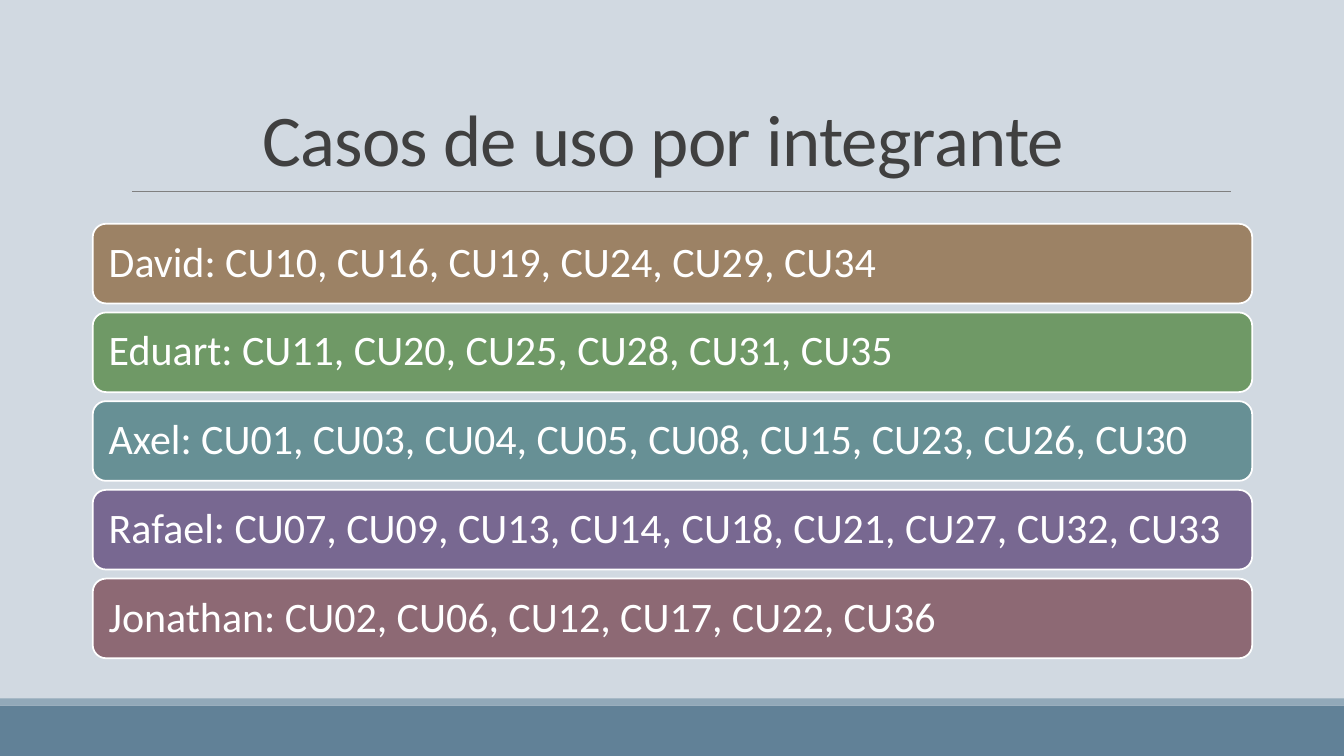
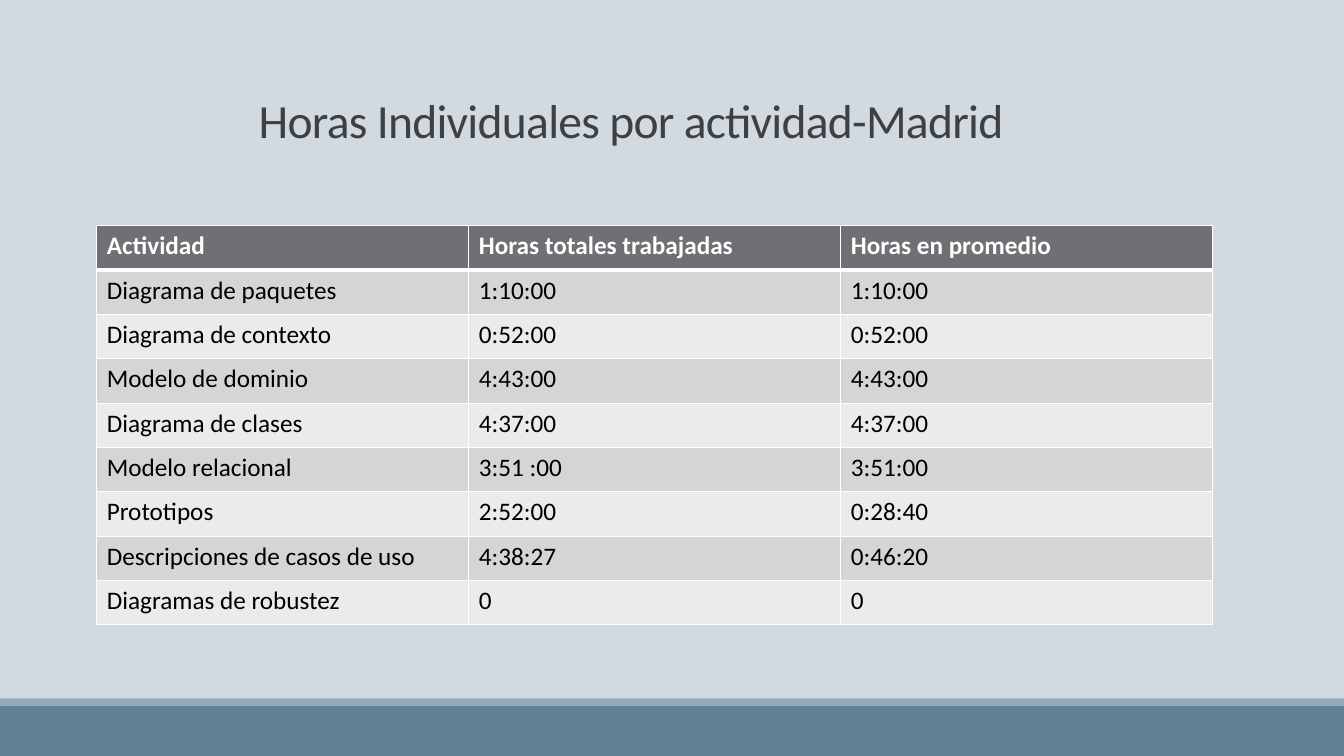
from lxml import etree
from pptx import Presentation
from pptx.dml.color import RGBColor
from pptx.enum import shapes, text
from pptx.oxml.ns import qn
from pptx.util import Inches, Pt

# Content
TITLES = ["Casos de uso por integrante", "Horas Individuales por actividad-Madrid"]
MEMBERS = [
    ("David: CU10, CU16, CU19, CU24, CU29, CU34", "brown"),
    ("Eduart: CU11, CU20, CU25, CU28, CU31, CU35", "green"),
    ("Axel: CU01, CU03, CU04, CU05, CU08, CU15, CU23, CU26, CU30", "teal"),
    ("Rafael: CU07, CU09, CU13, CU14, CU18, CU21, CU27, CU32, CU33", "purple"),
    ("Jonathan: CU02, CU06, CU12, CU17, CU22, CU36", "rose"),
]
HOURS = [
    ("Actividad", "Horas totales trabajadas", "Horas en promedio"),
    ("Diagrama de paquetes", "1:10:00", "1:10:00"),
    ("Diagrama de contexto", "0:52:00", "0:52:00"),
    ("Modelo de dominio", "4:43:00", "4:43:00"),
    ("Diagrama de clases", "4:37:00", "4:37:00"),
    ("Modelo relacional", "3:51 :00", "3:51:00"),
    ("Prototipos", "2:52:00", "0:28:40"),
    ("Descripciones de casos de uso", "4:38:27", "0:46:20"),
    ("Diagramas de robustez", "0", "0"),
]

# Shared style
COLORS = {
    "back": "D1D9E1", "band": "618197", "stripe": "92A9B9", "rule": "808080",
    "title": "404040", "white": "FFFFFF", "black": "000000",
    "brown": "9C8265", "green": "6F9966", "teal": "679095",
    "purple": "786891", "rose": "8D6974",
    "header": "6F6F74", "odd": "D5D5D6", "even": "EBEBEB",
}
FONT = "Calibri"
W, H = 13.33, 7.5
BAND_TOP, STRIPE_H = 7, 0.07


def rgb(name):
    return RGBColor.from_string(COLORS[name])


def style(p, size, color, bold=False):
    f = p.font
    f.name, f.size, f.bold = FONT, Pt(size), bold
    f.color.rgb = rgb(color)


def add_box(s, kind, box, fill, line=None):
    sp = s.shapes.add_shape(kind, *map(Inches, box))
    sp.shadow.inherit = False
    sp.fill.solid()
    sp.fill.fore_color.rgb = rgb(fill)
    if line:
        sp.line.color.rgb = rgb(line)
        sp.line.width = Pt(1.25)
    else:
        sp.line.fill.background()
    return sp


def add_title(s, words, box, size, anchor):
    tf = s.shapes.add_textbox(*map(Inches, box)).text_frame
    tf.word_wrap = True
    tf.vertical_anchor = anchor
    p = tf.paragraphs[0]
    r = p.add_run()
    r.text = words
    r.font._element.set("spc", "-50")
    p.alignment = text.PP_ALIGN.CENTER
    p.line_spacing = 0.85
    style(p, size, "title")


def add_slide(prs):
    s = prs.slides.add_slide(prs.slide_layouts[6])
    s.background.fill.solid()
    s.background.fill.fore_color.rgb = rgb("back")
    rect = shapes.MSO_SHAPE.RECTANGLE
    add_box(s, rect, (0, BAND_TOP, W, H - BAND_TOP), "band")
    add_box(s, rect, (0, BAND_TOP - STRIPE_H, W, STRIPE_H), "stripe")
    return s


def add_rule(s, left, right, y):
    ln = s.shapes.add_connector(shapes.MSO_CONNECTOR.STRAIGHT,
                                *map(Inches, (left, y, right, y)))
    ln.line.color.rgb = rgb("rule")
    ln.line.width = Pt(0.5)
    etree.SubElement(ln._element.spPr, qn("a:effectLst"))


def add_bars(s, left, top, width, height, pitch):
    for i, (words, color) in enumerate(MEMBERS):
        box = (left, top + i * pitch, width, height)
        sp = add_box(s, shapes.MSO_SHAPE.ROUNDED_RECTANGLE, box, color, "white")
        tf = sp.text_frame
        tf.word_wrap = True
        tf.vertical_anchor = text.MSO_ANCHOR.MIDDLE
        tf.margin_left = tf.margin_right = Inches(0.12)
        p = tf.paragraphs[0]
        p.text = words
        p.alignment = text.PP_ALIGN.LEFT
        p.line_spacing = 0.9
        style(p, 30, "white")


def set_borders(cell, **widths):
    tc_pr = cell._tc.get_or_add_tcPr()
    for side in "LRTB":
        ln = etree.SubElement(tc_pr, qn("a:ln" + side),
                              w=str(Pt(widths.get(side, 1))))
        fill = etree.SubElement(ln, qn("a:solidFill"))
        etree.SubElement(fill, qn("a:srgbClr"), val=COLORS["white"])


def add_hours_table(s, left, top, col_w, row_h):
    rows, cols = len(HOURS), len(HOURS[0])
    table = s.shapes.add_table(rows, cols, *map(
        Inches, (left, top, cols * col_w, rows * row_h))).table
    for col in table.columns:
        col.width = Inches(col_w)
    for i, values in enumerate(HOURS):
        table.rows[i].height = Inches(row_h)
        head = i == 0
        fill = "header" if head else ("even", "odd")[i % 2]
        edge = {0: {"B": 3}, 1: {"T": 3}}.get(i, {})
        for j, value in enumerate(values):
            cell = table.cell(i, j)
            set_borders(cell, **edge)
            cell.fill.solid()
            cell.fill.fore_color.rgb = rgb(fill)
            p = cell.text_frame.paragraphs[0]
            p.text = value
            style(p, 18, "white" if head else "black", head)


def main():
    prs = Presentation()
    prs.slide_width, prs.slide_height = Inches(W), Inches(H)

    # Use cases per member
    s = add_slide(prs)
    add_rule(s, 1.31, 12.21, 1.9)
    add_title(s, TITLES[0], (0.83, 0.61, 11.5, 1.24), 52, text.MSO_ANCHOR.BOTTOM)
    add_bars(s, 0.92, 2.22, 11.5, 0.79, 0.88)

    # Hours per activity
    s = add_slide(prs)
    add_title(s, TITLES[1], (0.76, 0.58, 11, 1.3), 34, text.MSO_ANCHOR.MIDDLE)
    add_hours_table(s, 0.96, 2.24, 3.69, 0.44)

    prs.save("out.pptx")


if __name__ == "__main__":
    main()
